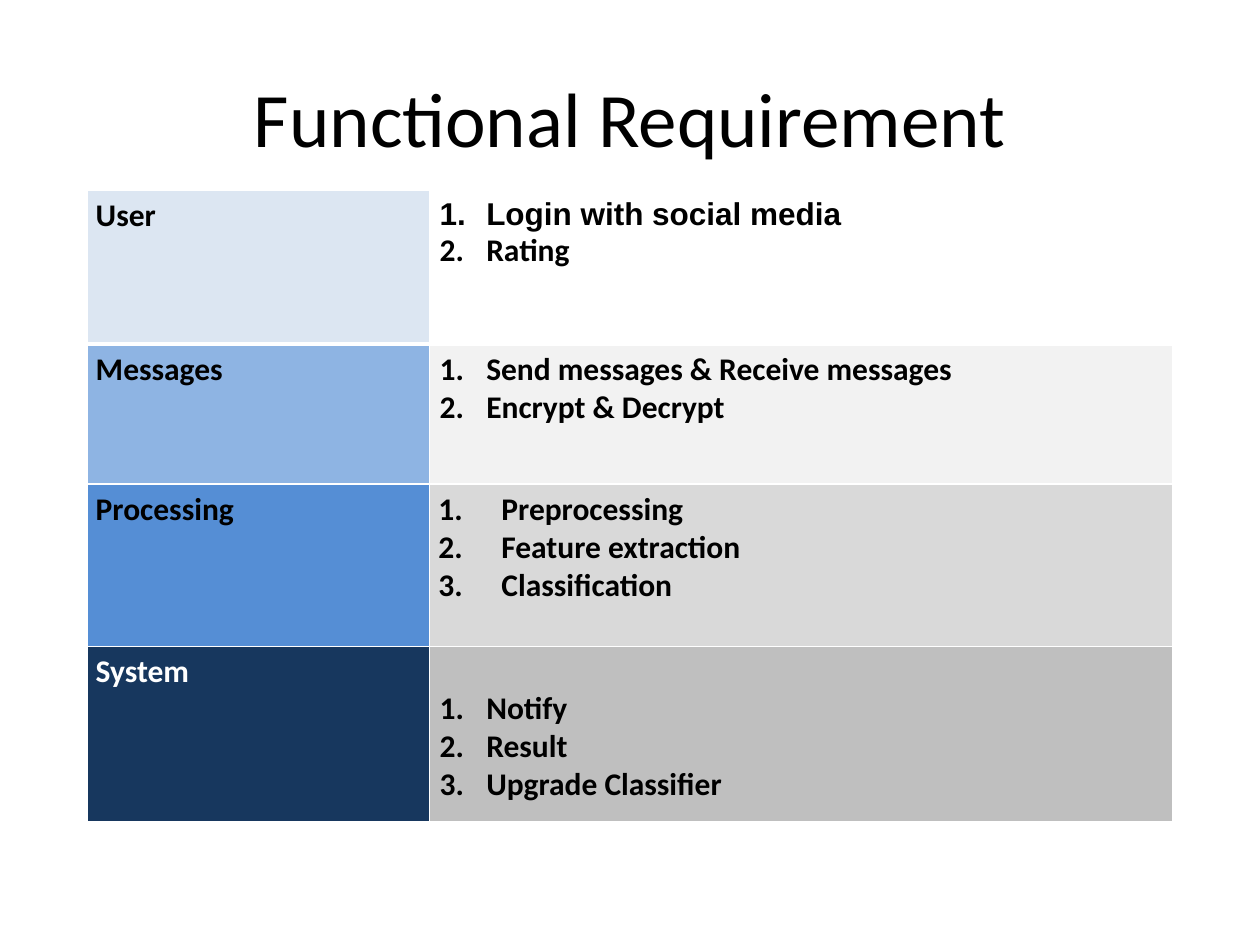
"""Build the functional requirement slide: a title over a table of numbered lists."""
from dataclasses import dataclass

from lxml.etree import SubElement
from pptx import Presentation
from pptx.dml.color import RGBColor as Rgb
from pptx.enum.text import MSO_ANCHOR as Anchor, PP_ALIGN as Align
from pptx.oxml import parse_xml
from pptx.oxml.ns import nsdecls, qn
from pptx.util import Inches, Pt


@dataclass(frozen=True)
class Theme:
    """Colours, fonts and sizes of the slide."""
    ink: str = "000000"
    paper: str = "FFFFFF"
    font: str = "Calibri"
    accent_font: str = "Arial"
    title_size: float = 44
    body_size: float = 18
    thin_line: float = 0.96
    thick_line: float = 3


THEME = Theme()


@dataclass(frozen=True)
class Requirement:
    """One table row: a label and its numbered items."""
    label: str
    items: tuple[str, ...]
    height: float
    label_fill: str
    items_fill: str
    label_color: str = THEME.ink
    first_font: str = THEME.font
    indent: tuple[float, float] = (0.38, -0.37)
    top_margin: float = 0.05


REQUIREMENTS = (
    Requirement("User", ("Login with social media", "Rating"), 1.22,
                "DCE6F2", "FFFFFF", first_font=THEME.accent_font),
    Requirement("Messages", ("Send messages & Receive messages", "Encrypt & Decrypt"), 1.11,
                "8EB4E3", "F2F2F2"),
    Requirement("Processing", ("Preprocessing", "Feature extraction", "Classification"), 1.29,
                "558ED5", "D9D9D9", indent=(0.5, -0.5)),
    Requirement("System", ("Notify", "Result", "Upgrade Classifier"), 1.39,
                "17375E", "BFBFBF", label_color=THEME.paper, top_margin=0.34),
)
COLUMN_WIDTHS = (2.72, 5.9)


def write(para, text: str, *, size: float = THEME.body_size, font: str = THEME.font,
          color: str = THEME.ink, bold: bool = True, align=None) -> None:
    """Add formatted text to a paragraph."""
    para.alignment = align
    span = para.add_run()
    span.text = text
    span.font.size = Pt(size)
    span.font.name = font
    span.font.bold = bold
    span.font.color.rgb = Rgb.from_string(color)


def number(para, indent: tuple[float, float]) -> None:
    """Give a paragraph an automatic number and a hanging indent."""
    props = para._p.get_or_add_pPr()
    props.set("marL", str(Inches(indent[0])))
    props.set("indent", str(Inches(indent[1])))
    color = SubElement(props, qn("a:buClr"))
    SubElement(color, qn("a:srgbClr"), val=THEME.ink)
    SubElement(props, qn("a:buFont"), typeface="+mj-lt")
    SubElement(props, qn("a:buAutoNum"), type="arabicPeriod")


def style_cell(cell, fill: str, top: float, bottom: float, top_margin: float = 0.05) -> None:
    """Set the fill, margins and borders of a cell."""
    cell.fill.solid()
    cell.fill.fore_color.rgb = Rgb.from_string(fill)
    cell.margin_left = cell.margin_right = Inches(0.07)
    cell.margin_top, cell.margin_bottom = Inches(top_margin), Inches(0.05)
    widths = {"lnL": THEME.thin_line, "lnR": THEME.thin_line, "lnT": top, "lnB": bottom}
    for position, (side, width) in enumerate(widths.items()):
        cell._tc.get_or_add_tcPr().insert(position, parse_xml(
            f'<a:{side} {nsdecls("a")} w="{Pt(width)}"><a:solidFill>'
            f'<a:srgbClr val="{THEME.paper}"/></a:solidFill></a:{side}>'))


def add_title(page, text: str) -> None:
    """Place and format the slide title."""
    title = page.shapes.title
    title.left, title.top, title.width, title.height = map(Inches, (0.5, 0.3, 9, 1.25))
    title.text_frame.vertical_anchor = Anchor.MIDDLE
    write(title.text_frame.paragraphs[0], text, size=THEME.title_size, bold=False,
          align=Align.CENTER)


def add_requirements(page, requirements: tuple[Requirement, ...]) -> None:
    """Draw the table of requirements."""
    height = sum(entry.height for entry in requirements)
    table = page.shapes.add_table(
        len(requirements), len(COLUMN_WIDTHS), Inches(0.69), Inches(1.51),
        Inches(sum(COLUMN_WIDTHS)), Inches(height)).table
    table.first_row = table.horz_banding = False
    for column, width in zip(table.columns, COLUMN_WIDTHS):
        column.width = Inches(width)
    for index, entry in enumerate(requirements):
        table.rows[index].height = Inches(entry.height)
        top = THEME.thick_line if index == 1 else THEME.thin_line
        bottom = THEME.thick_line if index == 0 else THEME.thin_line
        label, items = table.cell(index, 0), table.cell(index, 1)
        style_cell(label, entry.label_fill, top, bottom)
        style_cell(items, entry.items_fill, top, bottom, entry.top_margin)
        write(label.text_frame.paragraphs[0], entry.label, color=entry.label_color)
        for order, item in enumerate(entry.items):
            frame = items.text_frame
            para = frame.add_paragraph() if order else frame.paragraphs[0]
            number(para, entry.indent)
            write(para, item, font=THEME.font if order else entry.first_font)


def main() -> None:
    """Build and save the deck."""
    deck = Presentation()
    deck.slide_width, deck.slide_height = Inches(10), Inches(7.5)
    page = deck.slides.add_slide(deck.slide_layouts[5])
    add_title(page, "Functional Requirement")
    add_requirements(page, REQUIREMENTS)
    deck.save("out.pptx")


if __name__ == "__main__":
    main()
